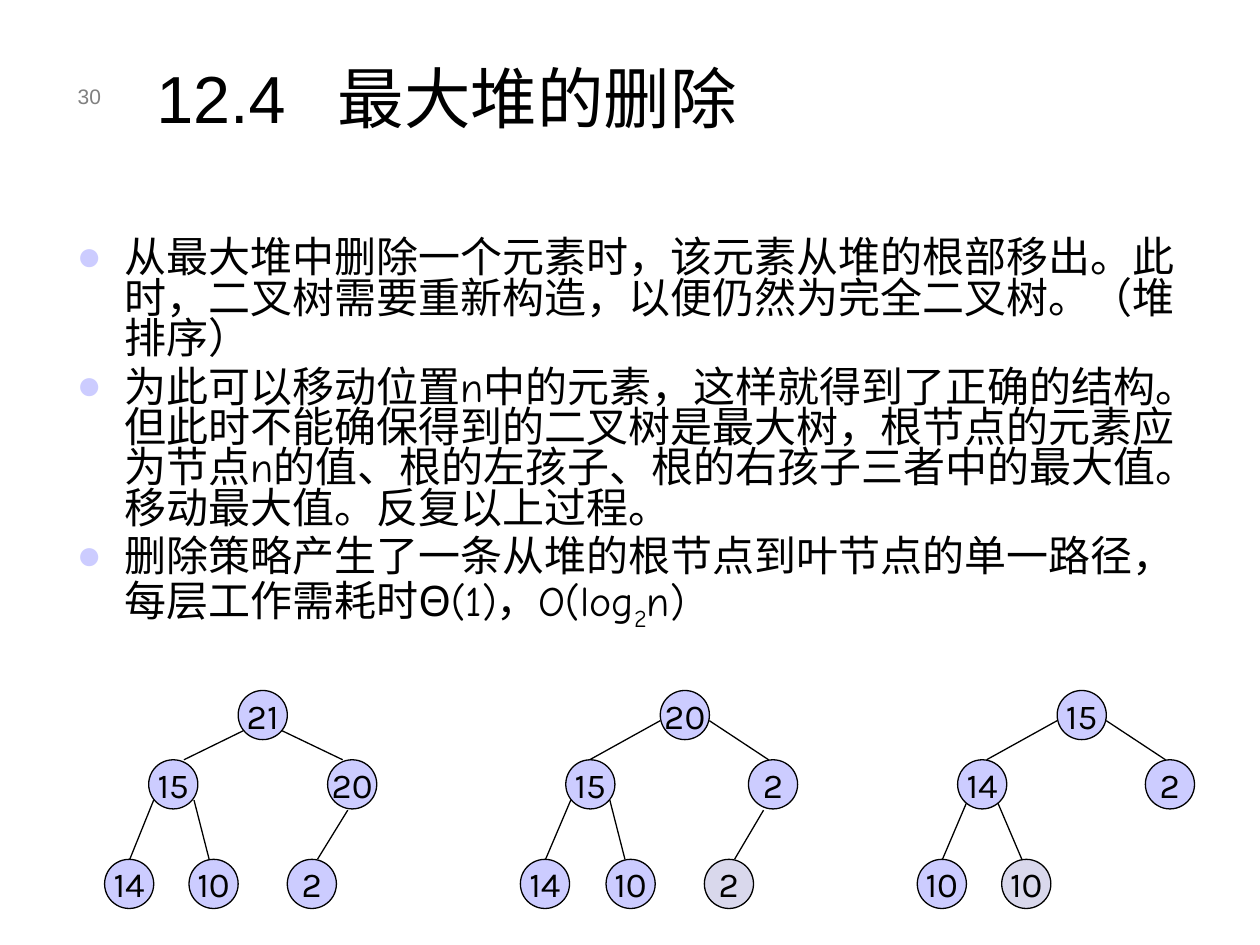
"""Build the slide on deletion from a max heap."""
from lxml import etree
from pptx import Presentation
from pptx.dml.color import RGBColor
from pptx.enum.shapes import MSO_CONNECTOR, MSO_SHAPE
from pptx.enum.text import MSO_ANCHOR, MSO_AUTO_SIZE, PP_ALIGN
from pptx.oxml.ns import qn
from pptx.util import Inches, Pt

LEFT, CENTER, RIGHT = PP_ALIGN.LEFT, PP_ALIGN.CENTER, PP_ALIGN.RIGHT
TOP, MIDDLE, BOTTOM = MSO_ANCHOR.TOP, MSO_ANCHOR.MIDDLE, MSO_ANCHOR.BOTTOM
ELLIPSE, STRAIGHT, NO_FIT = MSO_SHAPE.OVAL, MSO_CONNECTOR.STRAIGHT, MSO_AUTO_SIZE.NONE

COLORS = {"ink": "000000", "node": "CCCCFF", "removed": "D9D8EC", "number": "808080"}
FORMATS = {
    "title": {"name": "Arial", "size": Pt(38), "color": "ink"},
    "number": {"name": "Arial", "size": Pt(12), "color": "number"},
    "body": {"name": "Comic Neue", "size": Pt(24), "color": "ink"},
    "node": {"name": "Karla", "size": Pt(20), "color": "ink"},
}
NODE_SIZE = 0.39
LEVEL_TOPS = [5.48, 6.03, 6.82]

POINTS = [
    [("从最大堆中删除一个元素时，该元素从堆的根部移出。此时，二叉树需要重新构造，"
      "以便仍然为完全二叉树。（堆排序）", 0)],
    [("为此可以移动位置n中的元素，这样就得到了正确的结构。但此时不能确保得到的二叉树是最大树，"
      "根节点的元素应为节点n的值、根的左孩子、根的右孩子三者中的最大值。移动最大值。反复以上过程。", 0)],
    [("删除策略产生了一条从堆的根节点到叶节点的单一路径，每层工作需耗时Θ(1)，O(log", 0),
     ("2", -25000), ("n)", 0)],
]

TREES = [
    {"nodes": [("21", 1.89, 0, "node"), ("15", 1.18, 1, "node"), ("20", 2.6, 1, "node"),
               ("14", 0.83, 2, "node"), ("10", 1.5, 2, "node"), ("2", 2.28, 2, "node")],
     "edges": [(1.46, 1, 1.93, 5.8), (2.72, 1, 2.24, 5.8), (1.03, 2, 1.22, 6.35),
               (1.66, 2, 1.54, 6.35), (2.52, 2, 2.76, 6.43)]},
    {"nodes": [("20", 5.24, 0, "node"), ("15", 4.49, 1, "node"), ("2", 5.94, 1, "node"),
               ("14", 4.13, 2, "node"), ("10", 4.81, 2, "node"), ("2", 5.59, 2, "removed")],
     "edges": [(4.68, 1, 5.24, 5.72), (6.1, 1, 5.63, 5.72), (4.33, 2, 4.53, 6.35),
               (4.96, 2, 4.84, 6.35), (5.83, 2, 6.06, 6.43)]},
    {"nodes": [("15", 8.39, 0, "node"), ("14", 7.6, 1, "node"), ("2", 9.09, 1, "node"),
               ("10", 7.28, 2, "node"), ("10", 7.95, 2, "removed")],
     "edges": [(7.83, 1, 8.39, 5.72), (9.25, 1, 8.78, 5.72), (7.48, 2, 7.68, 6.35),
               (8.11, 2, 7.91, 6.35)]},
]


class SlideBuilder:
    """Hold the style and the current slide, and draw each kind of element."""

    def __init__(self, page):
        """Keep the page that receives the elements."""
        self.page = page

    def color(self, name):
        """Return a named colour."""
        return RGBColor.from_string(COLORS[name])

    def add_span(self, para, text, style):
        """Add a formatted span to a paragraph."""
        span = para.add_run()
        span.text = text
        for key, value in FORMATS[style].items():
            if key == "color":
                span.font.color.rgb = self.color(value)
            else:
                setattr(span.font, key, value)
        return span

    def frame(self, box, anchor, wrap=True):
        """Set up the text frame of a box and return it."""
        settings = {"word_wrap": wrap, "auto_size": NO_FIT, "vertical_anchor": anchor}
        for key, value in settings.items():
            setattr(box.text_frame, key, value)
        return box.text_frame

    def textbox(self, left, top, width, height, anchor):
        """Add a text box and return its frame."""
        area = [Inches(value) for value in (left, top, width, height)]
        return self.frame(self.page.shapes.add_textbox(*area), anchor)

    def title(self, text, tab):
        """Place the title, with a tab stop after its section number."""
        box = self.page.shapes.title
        area = {"left": 1.14, "top": 0.21, "width": 8.59, "height": 0.93}
        for key, value in area.items():
            setattr(box, key, Inches(value))
        para = self.frame(box, BOTTOM).paragraphs[0]
        para.alignment = LEFT
        stops = etree.SubElement(para._p.get_or_add_pPr(), qn("a:tabLst"))
        etree.SubElement(stops, qn("a:tab"), pos=str(Inches(tab)), algn="l")
        self.add_span(para, text, "title")

    def number(self, text):
        """Add the page number."""
        para = self.textbox(0.35, 0.44, 0.55, 0.47, BOTTOM).paragraphs[0]
        para.alignment = RIGHT
        self.add_span(para, text, "number")

    def bullet(self, para):
        """Give a paragraph a hanging coloured bullet."""
        props = para._p.get_or_add_pPr()
        props.set("marL", str(Inches(0.38)))
        props.set("indent", str(-Inches(0.38)))
        tint = etree.SubElement(props, qn("a:buClr"))
        etree.SubElement(tint, qn("a:srgbClr"), val=COLORS["node"])
        etree.SubElement(props, qn("a:buFont"), typeface="Arial")
        etree.SubElement(props, qn("a:buChar"), char="●")

    def body(self, points):
        """Add the bulleted points."""
        frame = self.textbox(0.51, 1.86, 9, 3.26, TOP)
        for index, spans in enumerate(points):
            para = frame.add_paragraph() if index else frame.paragraphs[0]
            self.bullet(para)
            para.line_spacing = 0.8
            para.space_before = Pt(4.8 if index else 0)
            for text, baseline in spans:
                span = self.add_span(para, text, "body")
                if baseline:
                    span.font._element.set("baseline", str(baseline))

    def outline(self, shape):
        """Draw a thin dark line on a shape or connector."""
        shape.line.color.rgb = self.color("ink")
        shape.line.width = Pt(0.75)

    def edge(self, child_x, level, parent_x, parent_y):
        """Join the top of a child to its parent."""
        ends = [Inches(value) for value in (child_x, LEVEL_TOPS[level], parent_x, parent_y)]
        line = self.page.shapes.add_connector(STRAIGHT, *ends)
        self.outline(line)
        etree.SubElement(line._element.spPr, qn("a:effectLst"))

    def node(self, text, left, level, fill):
        """Add a heap node."""
        area = [Inches(value) for value in (left, LEVEL_TOPS[level], NODE_SIZE, NODE_SIZE)]
        shape = self.page.shapes.add_shape(ELLIPSE, *area)
        shape.shadow.inherit = False
        shape.fill.solid()
        shape.fill.fore_color.rgb = self.color(fill)
        self.outline(shape)
        para = self.frame(shape, MIDDLE, wrap=False).paragraphs[0]
        para.alignment = CENTER
        self.add_span(para, text, "node")

    def tree(self, nodes, edges):
        """Draw one heap."""
        for edge in edges:
            self.edge(*edge)
        for node in nodes:
            self.node(*node)


def main():
    """Build and save the deck."""
    deck = Presentation()
    deck.slide_width, deck.slide_height = Inches(10), Inches(7.5)
    builder = SlideBuilder(deck.slides.add_slide(deck.slide_layouts[5]))
    builder.number("30")
    builder.title("12.4\t最大堆的删除", 1.44)
    builder.body(POINTS)
    for tree in TREES:
        builder.tree(**tree)
    deck.save("out.pptx")


if __name__ == "__main__":
    main()
